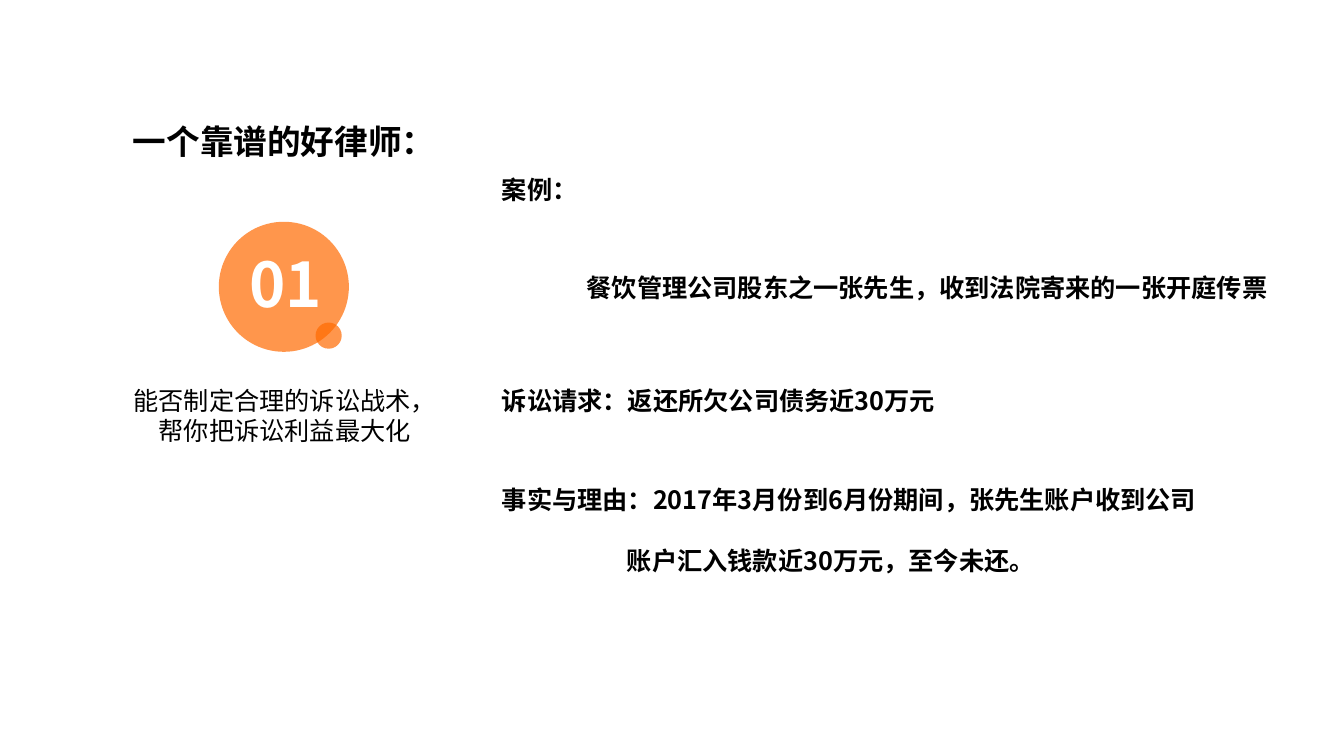
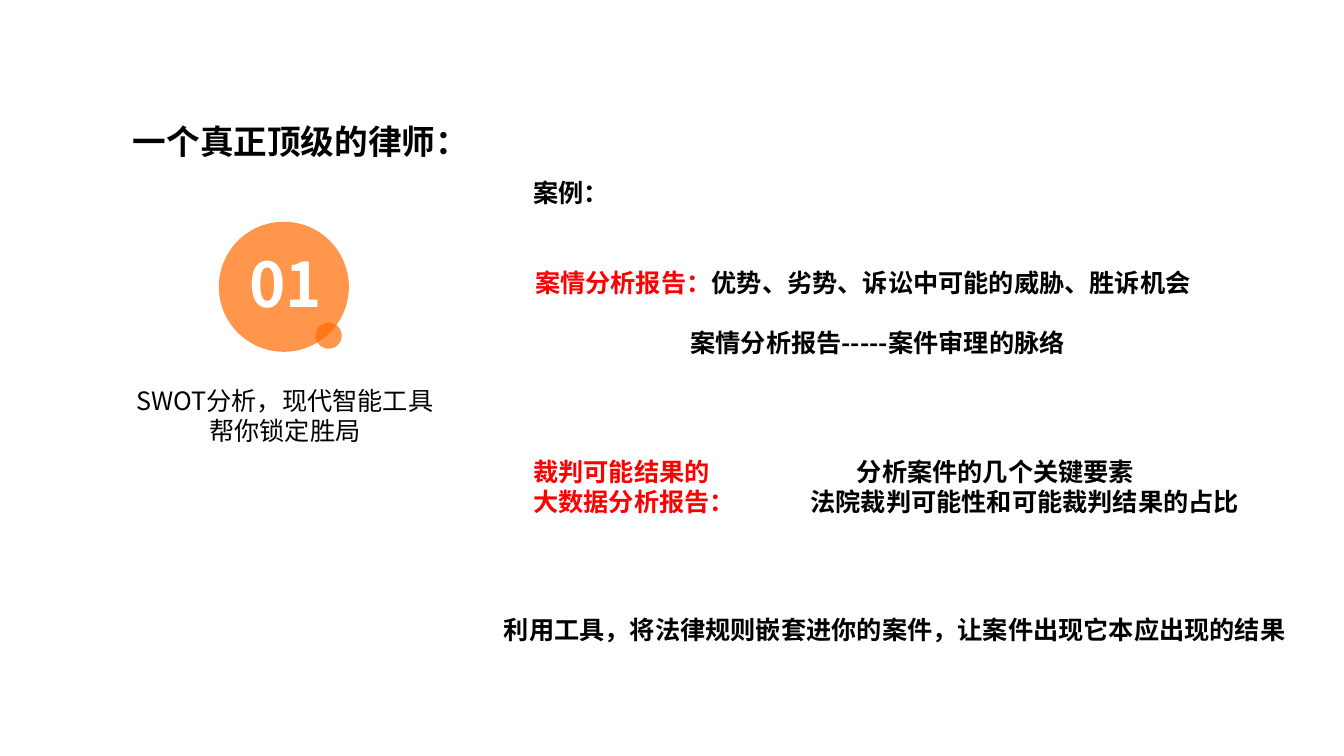
"""Build two slides on what a reliable and a top lawyer do for a case."""
import pptx
import pptx.dml.color
import pptx.enum.shapes
import pptx.enum.text
import pptx.oxml.ns
import pptx.util
from lxml import etree

Inches = pptx.util.Inches
Pt = pptx.util.Pt
RGBColor = pptx.dml.color.RGBColor
qn = pptx.oxml.ns.qn
CENTER = pptx.enum.text.PP_ALIGN.CENTER

FONT = "Noto Sans CJK SC"
ORANGE = RGBColor(0xFF, 0x6A, 0x00)
BLACK = RGBColor(0x00, 0x00, 0x00)
WHITE = RGBColor(0xFF, 0xFF, 0xFF)
RED = RGBColor(0xFF, 0x00, 0x00)

BODY = {"name": FONT, "size": Pt(18), "bold": True}
PLAIN = {**BODY, "bold": False}
TITLE = {**BODY, "size": Pt(24)}
NUMBER = {**BODY, "size": Pt(44)}

CIRCLES = [(3.13, 3.2, 0.26), (2.17, 2.2, 1.29)]
LINE_GAP = Pt(21.6)


def add_text(s, box, paragraphs, style=BODY, color=BLACK, align=None):
    """Add a text box; a paragraph is (runs, indent, space before), a run is (text, color)."""
    sp = s.shapes.add_textbox(*(Inches(v) for v in box))
    tf = sp.text_frame
    tf.word_wrap = True
    tf.auto_size = pptx.enum.text.MSO_AUTO_SIZE.SHAPE_TO_FIT_TEXT
    for i, item in enumerate(paragraphs):
        runs, indent, gap = ([(item, color)], 0, None) if isinstance(item, str) else item
        p = tf.paragraphs[0] if i == 0 else tf.add_paragraph()
        p.alignment = align
        p.space_before = gap
        if indent:
            p._p.get_or_add_pPr().set("marL", str(Inches(indent)))
        for text, run_color in runs:
            r = p.add_run()
            r.text = text
            for key, value in style.items():
                setattr(r.font, key, value)
            r.font.color.rgb = run_color
            etree.SubElement(r._r.get_or_add_rPr(), qn("a:ea")).set("typeface", FONT)


SLIDES = [
    {
        "title": "一个靠谱的好律师：",
        "caption": ["能否制定合理的诉讼战术，", "帮你把诉讼利益最大化"],
        "caption_box": (1.21, 3.77, 3.23, 0.71),
        "blocks": [
            ((4.88, 1.68, 0.96, 0.4), ["案例："], BLACK),
            ((5.72, 2.65, 6.95, 0.71),
             ["餐饮管理公司股东之一张先生，收到法院寄来的一张开庭传票"], BLACK),
            ((4.88, 3.77, 4.52, 0.4), ["诉讼请求：返还所欠公司债务近30万元"], BLACK),
            ((4.88, 4.76, 7.1, 1.01),
             ["事实与理由：2017年3月份到6月份期间，张先生账户收到公司",
              ([("账户汇入钱款近30万元，至今未还。", BLACK)], 1.24, LINE_GAP)], BLACK),
        ],
    },
    {
        "title": "一个真正顶级的律师：",
        "caption": ["SWOT分析，现代智能工具", "帮你锁定胜局"],
        "caption_box": (1.24, 3.77, 3.17, 0.71),
        "blocks": [
            ((5.19, 1.71, 0.96, 0.4), ["案例："], BLACK),
            ((5.21, 2.6, 6.77, 1.01),
             [([("案情分析报告：", RED),
                ("优势、劣势、诉讼中可能的威胁、胜诉机会", BLACK)], 0, None),
              ([("案情分析报告-----案件审理的脉络", BLACK)], 1.54, LINE_GAP)], BLACK),
            ((5.19, 4.48, 2.22, 0.71), ["裁判可能结果的", "大数据分析报告："], RED),
            ((7.94, 4.48, 4.49, 0.71),
             [([("分析案件的几个关键要素", BLACK)], 0.46, None),
              "法院裁判可能性和可能裁判结果的占比"], BLACK),
            ((4.9, 6.05, 8.03, 0.4),
             ["利用工具，将法律规则嵌套进你的案件，让案件出现它本应出现的结果"], BLACK),
        ],
    },
]

prs = pptx.Presentation()
prs.slide_width = Inches(13.33)
prs.slide_height = Inches(7.5)

for content in SLIDES:
    s = prs.slides.add_slide(prs.slide_layouts[6])
    for left, top, size in CIRCLES:
        sp = s.shapes.add_shape(pptx.enum.shapes.MSO_SHAPE.OVAL,
                                Inches(left), Inches(top), Inches(size), Inches(size))
        sp.shadow.inherit = False
        sp.line.fill.background()
        sp.fill.solid()
        sp.fill.fore_color.rgb = ORANGE
        rgb = sp._element.spPr.find(qn("a:solidFill")).find(qn("a:srgbClr"))
        etree.SubElement(rgb, qn("a:alpha")).set("val", "70000")
    add_text(s, (2.31, 2.39, 1.05, 0.84), ["01"], NUMBER, WHITE, CENTER)
    add_text(s, content["caption_box"], content["caption"], PLAIN, align=CENTER)
    add_text(s, (1.22, 1.15, 3.57, 0.5), [content["title"]], TITLE)
    for box, paragraphs, color in content["blocks"]:
        add_text(s, box, paragraphs, color=color)

prs.save("out.pptx")
